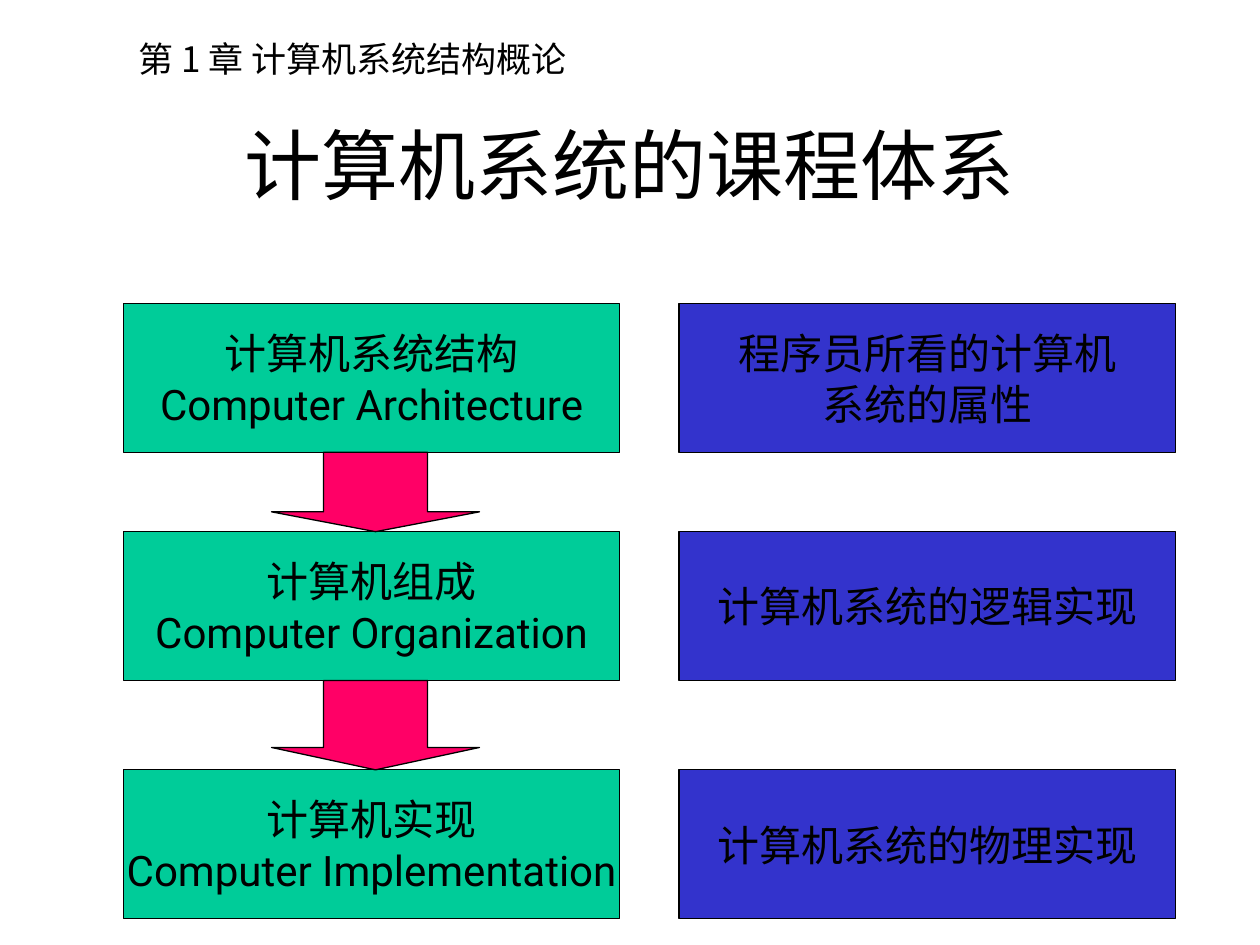
from pptx import Presentation
from pptx import util as u
from pptx.dml.color import RGBColor
from pptx.enum import shapes, text

BLACK = RGBColor(0x00, 0x00, 0x00)
GREEN = RGBColor(0x00, 0xCC, 0x99)
BLUE = RGBColor(0x33, 0x33, 0xCC)
PINK = RGBColor(0xFF, 0x00, 0x66)

LEFT_COLUMN, RIGHT_COLUMN = 0.98, 5.39
BOX_WIDTH, BOX_HEIGHT = 3.94, 1.18
ARROW_CENTER, ARROW_SPAN = 2.98, 1.65
LEVELS = [
    (2.41, "计算机系统结构\nComputer Architecture", "程序员所看的计算机\n系统的属性"),
    (4.22, "计算机组成\nComputer Organization", "计算机系统的逻辑实现"),
    (6.11, "计算机实现\nComputer Implementation", "计算机系统的物理实现"),
]


def write(frame, content, font="Roboto", size=24, align=text.PP_ALIGN.CENTER,
          anchor=text.MSO_ANCHOR.MIDDLE, wrap=False):
    frame.word_wrap = wrap
    frame.auto_size = text.MSO_AUTO_SIZE.NONE
    frame.vertical_anchor = anchor
    frame.text = content
    for paragraph in frame.paragraphs:
        paragraph.alignment = align
        paragraph.font.name = font
        paragraph.font.size = u.Pt(size)
        paragraph.font.color.rgb = BLACK


class Deck:
    """Holds the outline style and the current slide."""

    def __init__(self, slide, line_width=0.75):
        self.slide = slide
        self.line_width = u.Pt(line_width)

    def shape(self, kind, left, top, width, height, fill):
        shape = self.slide.shapes.add_shape(kind, *map(u.Inches, (left, top, width, height)))
        shape.shadow.inherit = False
        shape.fill.solid()
        shape.fill.fore_color.rgb = fill
        shape.line.color.rgb = BLACK
        shape.line.width = self.line_width
        return shape

    def box(self, left, top, content, fill):
        shape = self.shape(shapes.MSO_SHAPE.RECTANGLE, left, top, BOX_WIDTH, BOX_HEIGHT, fill)
        write(shape.text_frame, content)

    def down_arrow(self, top, bottom):
        length = bottom - top
        left = ARROW_CENTER - length / 2
        middle = (top + bottom) / 2
        shape = self.shape(shapes.MSO_SHAPE.RIGHT_ARROW, left, middle - ARROW_SPAN / 2,
                           length, ARROW_SPAN, PINK)
        shape.rotation = 90
        shape.adjustments[0] = 0.5
        shape.adjustments[1] = 0.25

    def label(self, left, top, width, height, content, **style):
        shape = self.slide.shapes.add_textbox(*map(u.Inches, (left, top, width, height)))
        write(shape.text_frame, content, wrap=True, **style)

    def title(self, left, top, width, height, content, **style):
        shape = self.slide.shapes.title
        shape.left, shape.top, shape.width, shape.height = map(
            u.Inches, (left, top, width, height))
        write(shape.text_frame, content, wrap=True, **style)


def main():
    presentation = Presentation()
    presentation.slide_width = u.Inches(10)
    presentation.slide_height = u.Inches(7.5)
    deck = Deck(presentation.slides.add_slide(presentation.slide_layouts[6]))

    deck.label(1, 0.25, 3.64, 0.44, "第 1 章 计算机系统结构概论", font="Noto Sans CJK SC",
               size=20, align=text.PP_ALIGN.LEFT, anchor=text.MSO_ANCHOR.TOP)
    deck.label(0.75, 0.67, 8.5, 1.25, "计算机系统的课程体系", font="Times New Roman", size=44)

    for top, course, meaning in LEVELS:
        deck.box(LEFT_COLUMN, top, course, GREEN)
        deck.box(RIGHT_COLUMN, top, meaning, BLUE)
    for upper, lower in zip(LEVELS, LEVELS[1:]):
        deck.down_arrow(upper[0] + BOX_HEIGHT, lower[0])

    presentation.save("out.pptx")


if __name__ == "__main__":
    main()
